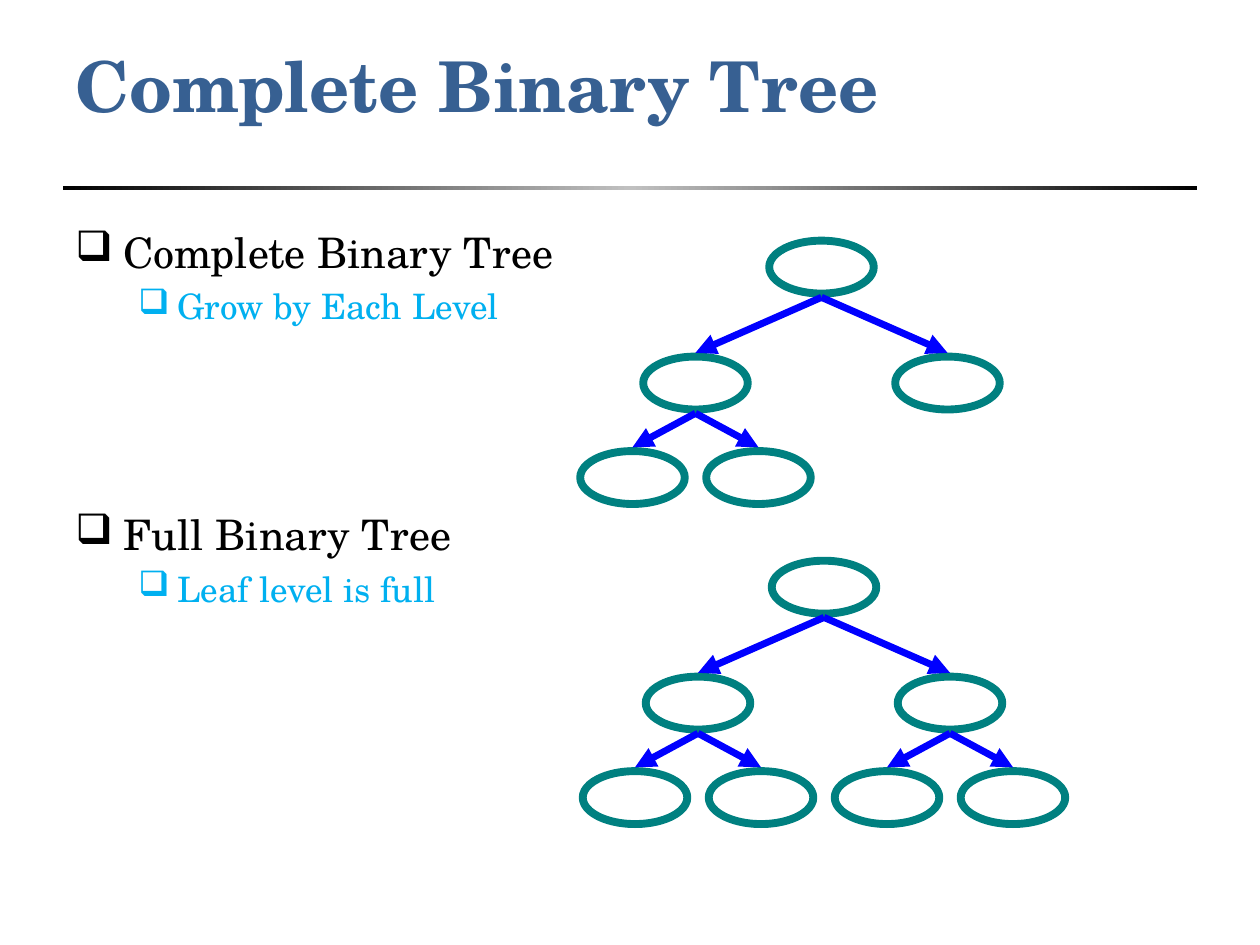
import dataclasses

import lxml.etree
import pptx
import pptx.dml.color
import pptx.enum.dml
import pptx.enum.shapes
import pptx.enum.text
import pptx.oxml
import pptx.oxml.ns
import pptx.util

SLIDE_WIDTH, SLIDE_HEIGHT = 10, 7.5
MARGIN = SLIDE_WIDTH / 20
CONTENT_WIDTH = SLIDE_WIDTH - 2 * MARGIN
NODE_WIDTH, NODE_HEIGHT = 0.83, 0.42
ARROW_CLEARANCE = 0.24
CHILD_OFFSETS = (0, 1, 0.5)
LEVEL_DROPS = (0, 0.92, 1.67)


@dataclasses.dataclass(frozen=True)
class Theme:
    font: str = "TeX Gyre Schola"
    title: str = "376092"
    heading: str = "000000"
    detail: str = "00B0F0"
    node: str = "008080"
    arrow: str = "0000FF"
    rule_edge: str = "000000"
    rule_middle: str = "C0C0C0"
    title_size: int = 40
    heading_size: int = 24
    detail_size: int = 20
    node_line: float = 4.5
    arrow_line: float = 4


@dataclasses.dataclass(frozen=True)
class Bullet:
    text: str
    level: int
    space_before: float


@dataclasses.dataclass(frozen=True)
class Tree:
    root_x: float
    root_y: float
    node_count: int

    def centre(self, index: int) -> tuple[float, float]:
        """Return the centre of a node numbered from 0 in level order."""
        if index == 0:
            return self.root_x, self.root_y
        depth = (index + 1).bit_length() - 1
        parent_x, _ = self.centre((index - 1) // 2)
        side = -1 if index % 2 else 1
        return parent_x + side * CHILD_OFFSETS[depth], self.root_y + LEVEL_DROPS[depth]


THEME = Theme()
BULLETS = (
    Bullet("Complete Binary Tree", 0, 0),
    Bullet("Grow by Each Level", 1, 4.5),
    Bullet("Full Binary Tree", 0, 104),
    Bullet("Leaf level is full", 1, 4.5),
)
TREES = (Tree(6.52, 2.12, 5), Tree(6.54, 4.66, 7))


def inches(*lengths: float) -> list[int]:
    return [pptx.util.Inches(length) for length in lengths]


def colour(value: str) -> pptx.dml.color.RGBColor:
    return pptx.dml.color.RGBColor.from_string(value)


def add_text_box(slide, top: float, height: float, anchor):
    shape = slide.shapes.add_textbox(*inches(MARGIN, top, CONTENT_WIDTH, height))
    shape.text_frame.word_wrap = True
    shape.text_frame.vertical_anchor = anchor
    return shape.text_frame


def add_run(paragraph, text: str, size: float, value: str, bold: bool = False) -> None:
    run = paragraph.add_run()
    run.text = text
    run.font.name = THEME.font
    run.font.size = pptx.util.Pt(size)
    run.font.color.rgb = colour(value)
    run.font.bold = bold


def add_rule(slide) -> None:
    shape = slide.shapes.add_shape(
        pptx.enum.shapes.MSO_SHAPE.RECTANGLE, *inches(MARGIN, 1.48, CONTENT_WIDTH, 0.03))
    shape.shadow.inherit = False
    shape.line.fill.background()
    shape.fill.gradient()
    shape.fill.gradient_angle = 0
    stops = shape.fill.gradient_stops
    for stop, position in zip(stops, (0, 1)):
        stop.color.rgb = colour(THEME.rule_edge)
        stop.position = position
    stop_list = shape.fill._fill._gradFill.find(pptx.oxml.ns.qn("a:gsLst"))
    middle = pptx.oxml.parse_xml(
        f'<a:gs {pptx.oxml.ns.nsdecls("a")} pos="50000">'
        f'<a:srgbClr val="{THEME.rule_middle}"/></a:gs>')
    stop_list.insert(1, middle)


def add_bullets(slide, bullets: tuple[Bullet, ...]) -> None:
    frame = add_text_box(slide, 1.75, 4.97, pptx.enum.text.MSO_ANCHOR.TOP)
    styles = (
        (0.38, -0.38, THEME.heading_size, THEME.heading),
        (0.81, -0.31, THEME.detail_size, THEME.detail),
    )
    for index, bullet in enumerate(bullets):
        paragraph = frame.add_paragraph() if index else frame.paragraphs[0]
        margin, indent, size, value = styles[bullet.level]
        paragraph.level = bullet.level
        paragraph.space_before = pptx.util.Pt(bullet.space_before)
        properties = paragraph._p.get_or_add_pPr()
        properties.set("marL", str(pptx.util.Inches(margin)))
        properties.set("indent", str(pptx.util.Inches(indent)))
        lxml.etree.SubElement(properties, pptx.oxml.ns.qn("a:buChar"), char="❑")
        add_run(paragraph, bullet.text, size, value)


def add_node(slide, x: float, y: float) -> None:
    shape = slide.shapes.add_shape(
        pptx.enum.shapes.MSO_SHAPE.OVAL,
        *inches(x - NODE_WIDTH / 2, y - NODE_HEIGHT / 2, NODE_WIDTH, NODE_HEIGHT))
    shape.shadow.inherit = False
    shape.fill.background()
    shape.line.color.rgb = colour(THEME.node)
    shape.line.width = pptx.util.Pt(THEME.node_line)


def add_arrow(slide, start: tuple[float, float], end: tuple[float, float]) -> None:
    connector = slide.shapes.add_connector(
        pptx.enum.shapes.MSO_CONNECTOR.STRAIGHT,
        *inches(start[0], start[1] + ARROW_CLEARANCE, end[0], end[1] - ARROW_CLEARANCE))
    connector.line.color.rgb = colour(THEME.arrow)
    connector.line.width = pptx.util.Pt(THEME.arrow_line)
    properties = connector._element.spPr
    line = properties.find(pptx.oxml.ns.qn("a:ln"))
    lxml.etree.SubElement(line, pptx.oxml.ns.qn("a:tailEnd"), type="triangle")
    lxml.etree.SubElement(properties, pptx.oxml.ns.qn("a:effectLst"))


def add_tree(slide, tree: Tree) -> None:
    for index in range(tree.node_count):
        add_node(slide, *tree.centre(index))
    for index in range(1, tree.node_count):
        add_arrow(slide, tree.centre((index - 1) // 2), tree.centre(index))


def main() -> None:
    """Build the slide on complete and full binary trees."""
    presentation = pptx.Presentation()
    presentation.slide_width, presentation.slide_height = inches(SLIDE_WIDTH, SLIDE_HEIGHT)
    slide = presentation.slides.add_slide(presentation.slide_layouts[6])
    add_rule(slide)
    title = add_text_box(slide, 0.3, 0.74, pptx.enum.text.MSO_ANCHOR.MIDDLE)
    add_run(title.paragraphs[0], "Complete Binary Tree", THEME.title_size, THEME.title, True)
    add_bullets(slide, BULLETS)
    for tree in TREES:
        add_tree(slide, tree)
    presentation.save("out.pptx")


if __name__ == "__main__":
    main()
